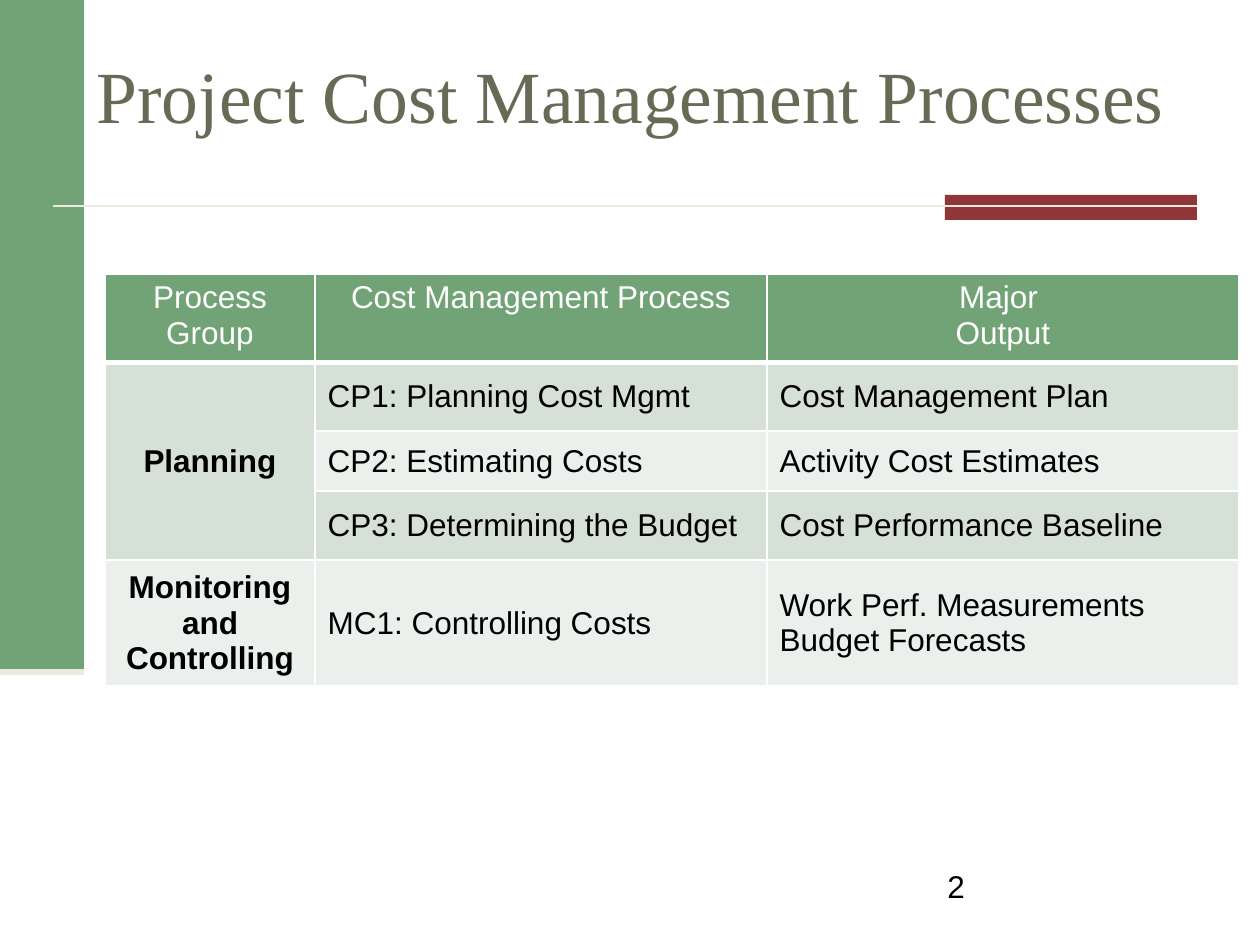
import pptx
import pptx.util
import pptx.dml.color
import pptx.enum.shapes
import pptx.enum.text
import pptx.oxml
import pptx.oxml.ns

PX = 914400 // 126
ALIGN = pptx.enum.text.PP_ALIGN
ANCHOR = pptx.enum.text.MSO_ANCHOR
COLORS = {"green": "72A376", "red": "903638", "cream": "EAEBDE", "olive": "676A55",
          "dark_row": "D5E0D6", "light_row": "EBF0EC", "white": "FFFFFF", "black": "000000"}

TITLE = "Project Cost Management Processes"
PAGE_NUMBER = "2"
HEADER = ["Process Group", "Cost Management Process", "Major \nOutput"]
PROCESSES = [
    ["Planning", "CP1: Planning Cost Mgmt", "Cost Management Plan"],
    ["", "CP2: Estimating Costs", "Activity Cost Estimates"],
    ["", "CP3: Determining the Budget", "Cost Performance Baseline"],
    ["Monitoring and Controlling", "MC1: Controlling Costs",
     "Work Perf. Measurements\nBudget Forecasts"],
]
COLUMN_WIDTHS = [210, 452, 472]
ROW_HEIGHTS = [82, 69, 60, 69, 118]
BANDS = [(0, 0, 84, 672, "green"), (945, 195, 252, 25, "red")]
RULES = [(53, 206, 1197, 206, 1.5), (0, 672, 84, 672, 3.5)]


def rgb(name):
    return pptx.dml.color.RGBColor.from_string(COLORS[name])


def px(*lengths):
    return [length * PX for length in lengths]


def write(frame, text, size=18, font="Arial", color="black", bold=False, align=ALIGN.LEFT):
    frame.text = text
    for paragraph in frame.paragraphs:
        paragraph.alignment = align
        for run in paragraph.runs:
            run.font.size = pptx.util.Pt(size)
            run.font.name = font
            run.font.bold = bold
            run.font.color.rgb = rgb(color)


def add_band(slide, left, top, width, height, color):
    band = slide.shapes.add_shape(pptx.enum.shapes.MSO_SHAPE.RECTANGLE,
                                  *px(left, top, width, height))
    band.shadow.inherit = False
    band.fill.solid()
    band.fill.fore_color.rgb = rgb(color)
    band.line.fill.background()


def add_rule(slide, x1, y1, x2, y2, weight):
    rule = slide.shapes.add_connector(pptx.enum.shapes.MSO_CONNECTOR.STRAIGHT,
                                      *px(x1, y1, x2, y2))
    rule.line.color.rgb = rgb("cream")
    rule.line.width = pptx.util.Pt(weight)
    rule._element.spPr.append(pptx.oxml.parse_xml(
        f'<a:effectLst {pptx.oxml.ns.nsdecls("a")}/>'))


def add_borders(cell, bottom):
    properties = cell._tc.get_or_add_tcPr()
    for side, weight in (("L", 1), ("R", 1), ("T", 1), ("B", bottom)):
        properties.append(pptx.oxml.parse_xml(
            f'<a:ln{side} {pptx.oxml.ns.nsdecls("a")} w="{pptx.util.Pt(weight)}">'
            f'<a:solidFill><a:srgbClr val="{COLORS["white"]}"/></a:solidFill></a:ln{side}>'))


def add_process_table(slide):
    rows = [HEADER] + PROCESSES
    table = slide.shapes.add_table(
        len(rows), len(HEADER),
        *px(105, 274, sum(COLUMN_WIDTHS), sum(ROW_HEIGHTS))).table
    for column, width in zip(table.columns, COLUMN_WIDTHS):
        column.width = width * PX
    for row, height in zip(table.rows, ROW_HEIGHTS):
        row.height = height * PX
    for r, entries in enumerate(rows):
        header = r == 0
        fill = "green" if header else "dark_row" if r % 2 else "light_row"
        for c, entry in enumerate(entries):
            cell = table.cell(r, c)
            add_borders(cell, 3 if header else 1)
            cell.fill.solid()
            cell.fill.fore_color.rgb = rgb(fill)
            cell.vertical_anchor = ANCHOR.TOP if header else ANCHOR.MIDDLE
            if entry:
                write(cell.text_frame, entry, color="white" if header else "black",
                      bold=not header and c == 0,
                      align=ALIGN.CENTER if header or c == 0 else ALIGN.LEFT)
    table.cell(1, 0).merge(table.cell(3, 0))


def main():
    deck = pptx.Presentation()
    deck.slide_width, deck.slide_height = px(1260, 945)
    slide = deck.slides.add_slide(deck.slide_layouts[5])
    for band in BANDS:
        add_band(slide, *band)
    for rule in RULES:
        add_rule(slide, *rule)

    title = slide.shapes.title
    title.left, title.top, title.width, title.height = px(84, 21, 1229, 147)
    title.text_frame.auto_size = pptx.enum.text.MSO_AUTO_SIZE.NONE
    title.text_frame.vertical_anchor = ANCHOR.MIDDLE
    write(title.text_frame, TITLE, size=42, font="Times New Roman", color="olive")

    page = slide.shapes.add_textbox(*px(935, 861, 262, 63))
    page.text_frame.word_wrap = True
    write(page.text_frame, PAGE_NUMBER)

    add_process_table(slide)
    deck.save("out.pptx")


if __name__ == "__main__":
    main()
